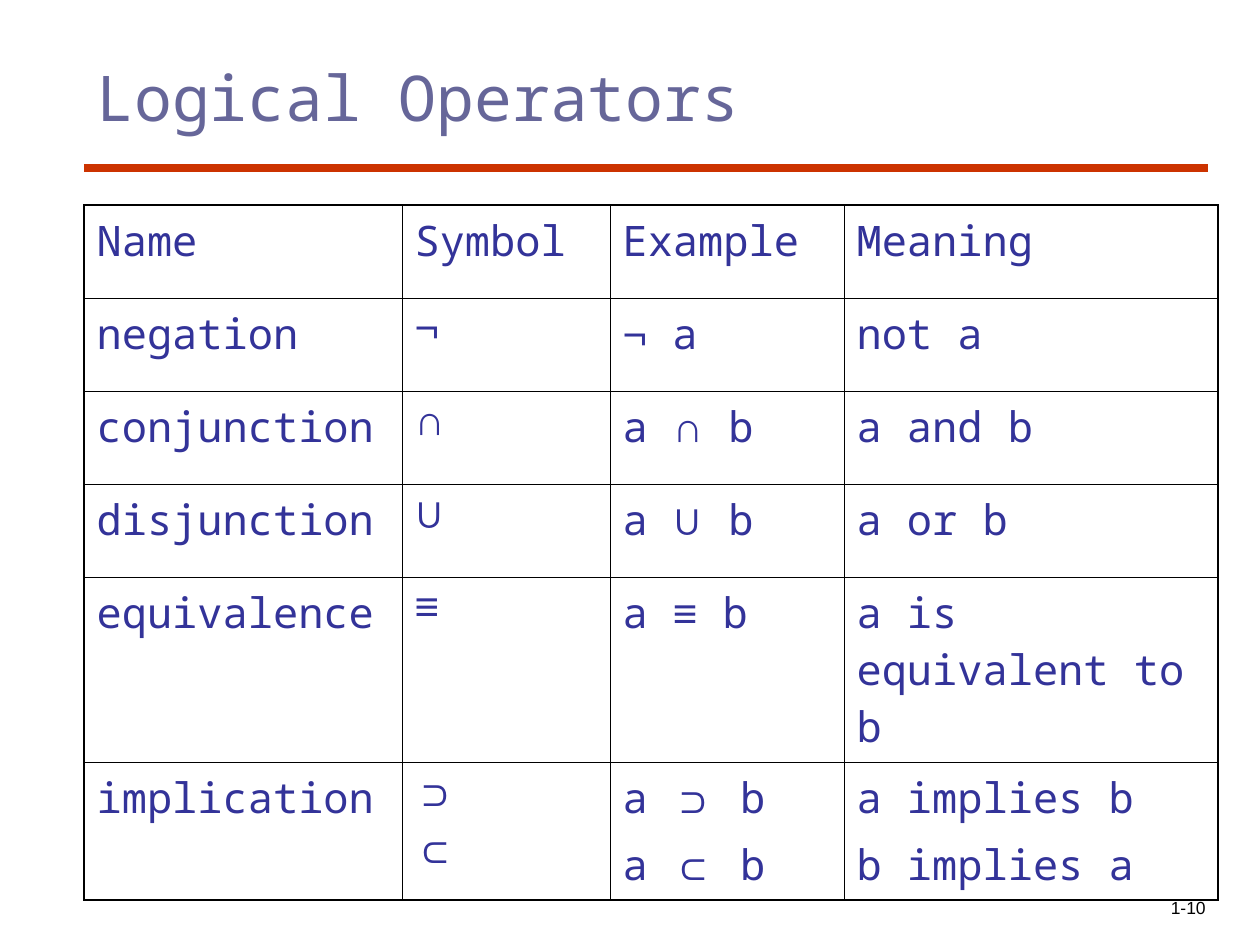
"""Build the Logical Operators slide with its table of symbols and meanings."""
from dataclasses import dataclass
from itertools import groupby

from lxml.etree import SubElement
from pptx import Presentation
from pptx.dml.color import RGBColor
from pptx.enum.shapes import MSO_CONNECTOR
from pptx.enum.text import MSO_ANCHOR, MSO_AUTO_SIZE, PP_ALIGN
from pptx.oxml import parse_xml
from pptx.oxml.ns import nsdecls, qn
from pptx.util import Emu, Pt

TITLE = "Logical Operators"
PAGE_NUMBER = "1-10"
OPERATORS = [
    ("Name", "Symbol", "Example", "Meaning"),
    ("negation", "¬", "¬ a", "not a"),
    ("conjunction", "∩", "a ∩ b", "a and b"),
    ("disjunction", "∪", "a ∪ b", "a or b"),
    ("equivalence", "≡", "a ≡ b", "a is equivalent to b"),
    ("implication", "⊃\n⊂", "a ⊃ b\na ⊂ b", "a implies b\nb implies a"),
]
SYMBOLS = "¬∩∪≡⊃⊂"

SLIDE_SIZE = (1260, 945)
TITLE_BOX = (84, 52, 1124, 158)
RULE = (84, 168, 1208, 168)
NUMBER_BOX = (955, 861, 263, 63)
TABLE_ORIGIN = (84, 205)
COLUMN_WIDTHS = (318, 208, 234, 374)
ROW_HEIGHTS = (93, 93, 93, 93, 185, 138)


@dataclass(frozen=True)
class Theme:
    """Colours, fonts, type sizes and line widths of the slide."""
    title: str = "666699"
    body: str = "333399"
    rule: str = "CC3300"
    ink: str = "000000"
    text_font: str = "Noto Sans Mono"
    symbol_font: str = "Arial"
    title_size: int = 36
    body_size: int = 24
    number_size: int = 10
    paragraph_gap: int = 6
    rule_width: float = 4.5
    outer_border: float = 1.08
    inner_border: float = 0.45


THEME = Theme()


def px(*lengths):
    """Turn pixel lengths into EMU."""
    return [Emu(length * 914400 // 126) for length in lengths]


def style(paragraph, size, color, name=None):
    """Set the shared font of a paragraph."""
    font = paragraph.font
    font.size = Pt(size)
    font.color.rgb = RGBColor.from_string(color)
    if name:
        font.name = name


def add_title(slide):
    """Place and format the title placeholder."""
    title = slide.shapes.title
    title.left, title.top, title.width, title.height = px(*TITLE_BOX)
    frame = title.text_frame
    frame.text = TITLE
    frame.auto_size = MSO_AUTO_SIZE.NONE
    frame.vertical_anchor = MSO_ANCHOR.TOP
    paragraph = frame.paragraphs[0]
    paragraph.alignment = PP_ALIGN.LEFT
    style(paragraph, THEME.title_size, THEME.title, THEME.text_font)


def add_rule(slide):
    """Draw the line under the title."""
    rule = slide.shapes.add_connector(MSO_CONNECTOR.STRAIGHT, *px(*RULE))
    rule.line.color.rgb = RGBColor.from_string(THEME.rule)
    rule.line.width = Pt(THEME.rule_width)
    SubElement(rule._element.spPr, qn("a:effectLst"))


def add_page_number(slide):
    """Write the page number at the bottom right."""
    frame = slide.shapes.add_textbox(*px(*NUMBER_BOX)).text_frame
    frame.word_wrap = True
    frame.vertical_anchor = MSO_ANCHOR.BOTTOM
    frame.text = PAGE_NUMBER
    paragraph = frame.paragraphs[0]
    paragraph.alignment = PP_ALIGN.RIGHT
    style(paragraph, THEME.number_size, THEME.ink, THEME.symbol_font)


def set_borders(cell, outer_sides):
    """Draw all four cell borders, heavier on the outer sides."""
    properties = cell._tc.get_or_add_tcPr()
    for index, side in enumerate("LRTB"):
        points = THEME.outer_border if side in outer_sides else THEME.inner_border
        properties.insert(index, parse_xml(
            f'<a:ln{side} {nsdecls("a")} w="{Pt(points)}"><a:solidFill>'
            f'<a:srgbClr val="{THEME.ink}"/></a:solidFill></a:ln{side}>'))


def fill_cell(cell, text):
    """Write the lines of a cell, with symbols in their own font."""
    frame = cell.text_frame
    for index, line in enumerate(text.split("\n")):
        paragraph = frame.add_paragraph() if index else frame.paragraphs[0]
        if index:
            paragraph.space_before = Pt(THEME.paragraph_gap)
        style(paragraph, THEME.body_size, THEME.body)
        for is_symbol, characters in groupby(line, lambda character: character in SYMBOLS):
            run = paragraph.add_run()
            run.text = "".join(characters)
            run.font.name = THEME.symbol_font if is_symbol else THEME.text_font


def add_operator_table(slide):
    """Build the table of operators."""
    row_count, column_count = len(OPERATORS), len(COLUMN_WIDTHS)
    table = slide.shapes.add_table(
        row_count, column_count,
        *px(*TABLE_ORIGIN, sum(COLUMN_WIDTHS), sum(ROW_HEIGHTS))).table
    table.first_row = table.horz_banding = False
    for column, width in zip(table.columns, px(*COLUMN_WIDTHS)):
        column.width = width
    for row, height in zip(table.rows, px(*ROW_HEIGHTS)):
        row.height = height
    for row_index, texts in enumerate(OPERATORS):
        for column_index, text in enumerate(texts):
            cell = table.cell(row_index, column_index)
            cell.fill.background()
            edges = {"L": column_index == 0, "R": column_index == column_count - 1,
                     "T": row_index == 0, "B": row_index == row_count - 1}
            set_borders(cell, [side for side, is_outer in edges.items() if is_outer])
            fill_cell(cell, text)


def main():
    """Build and save the presentation."""
    presentation = Presentation()
    presentation.slide_width, presentation.slide_height = px(*SLIDE_SIZE)
    slide = presentation.slides.add_slide(presentation.slide_layouts.get_by_name("Title Only"))
    add_rule(slide)
    add_page_number(slide)
    add_title(slide)
    add_operator_table(slide)
    presentation.save("out.pptx")


if __name__ == "__main__":
    main()
